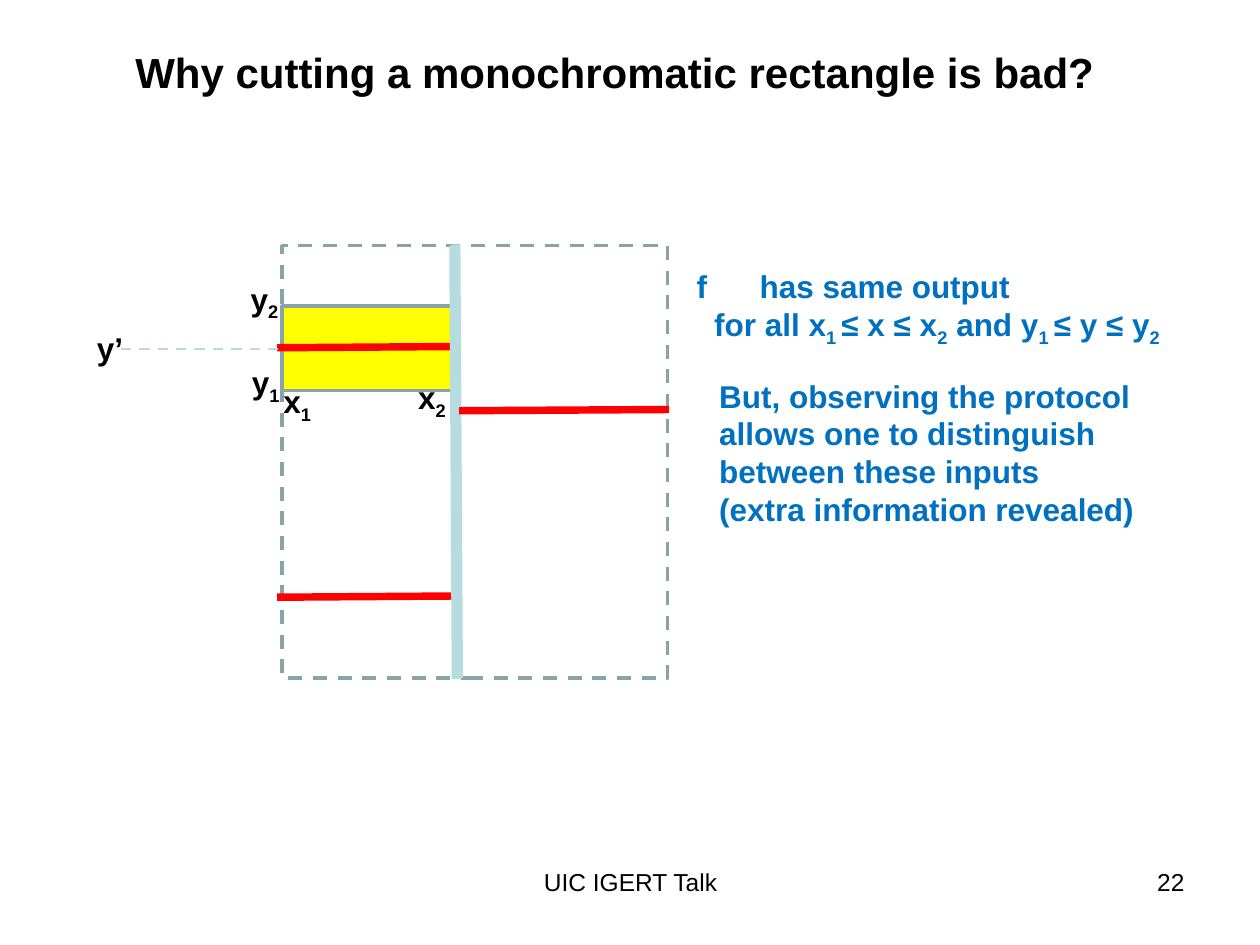
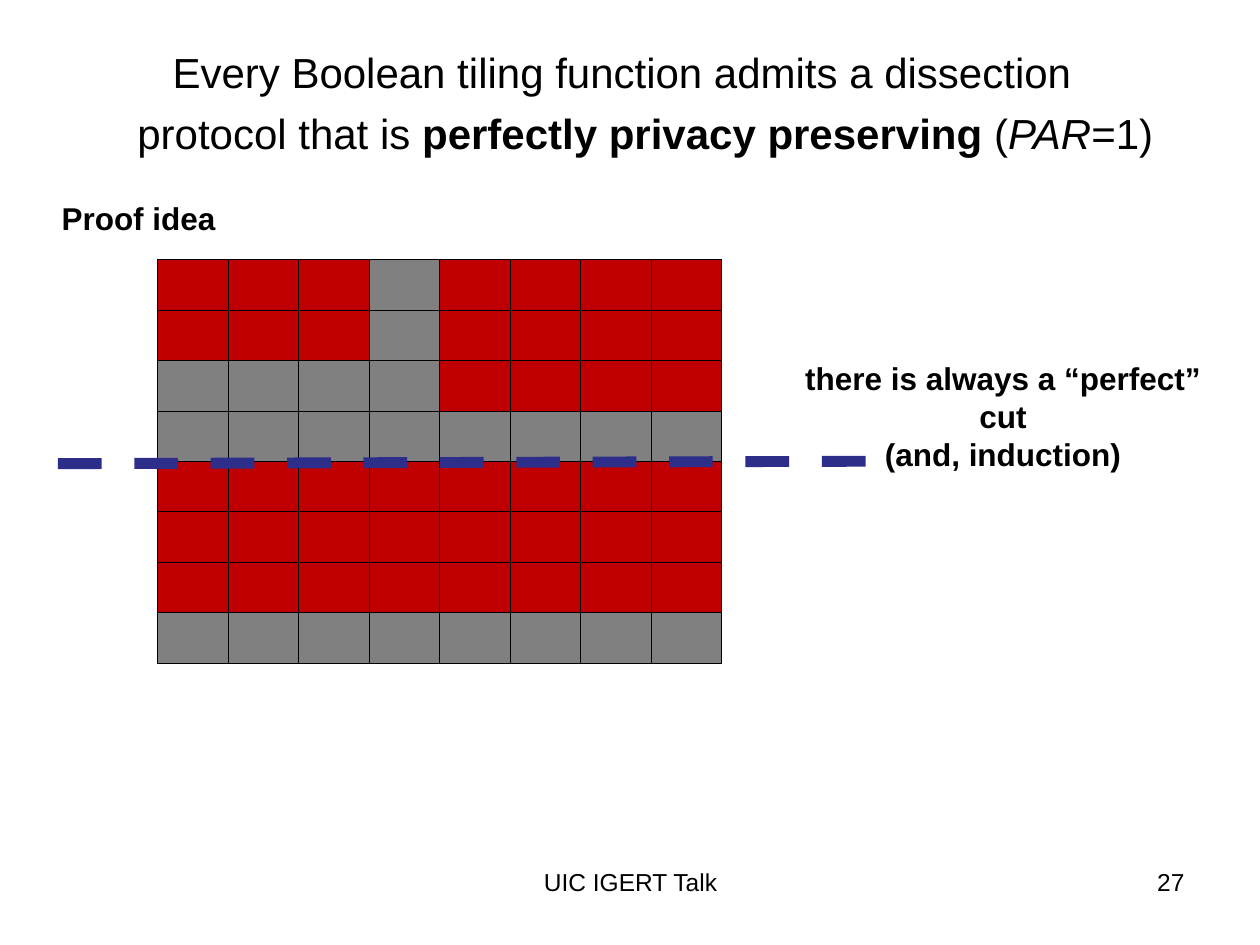
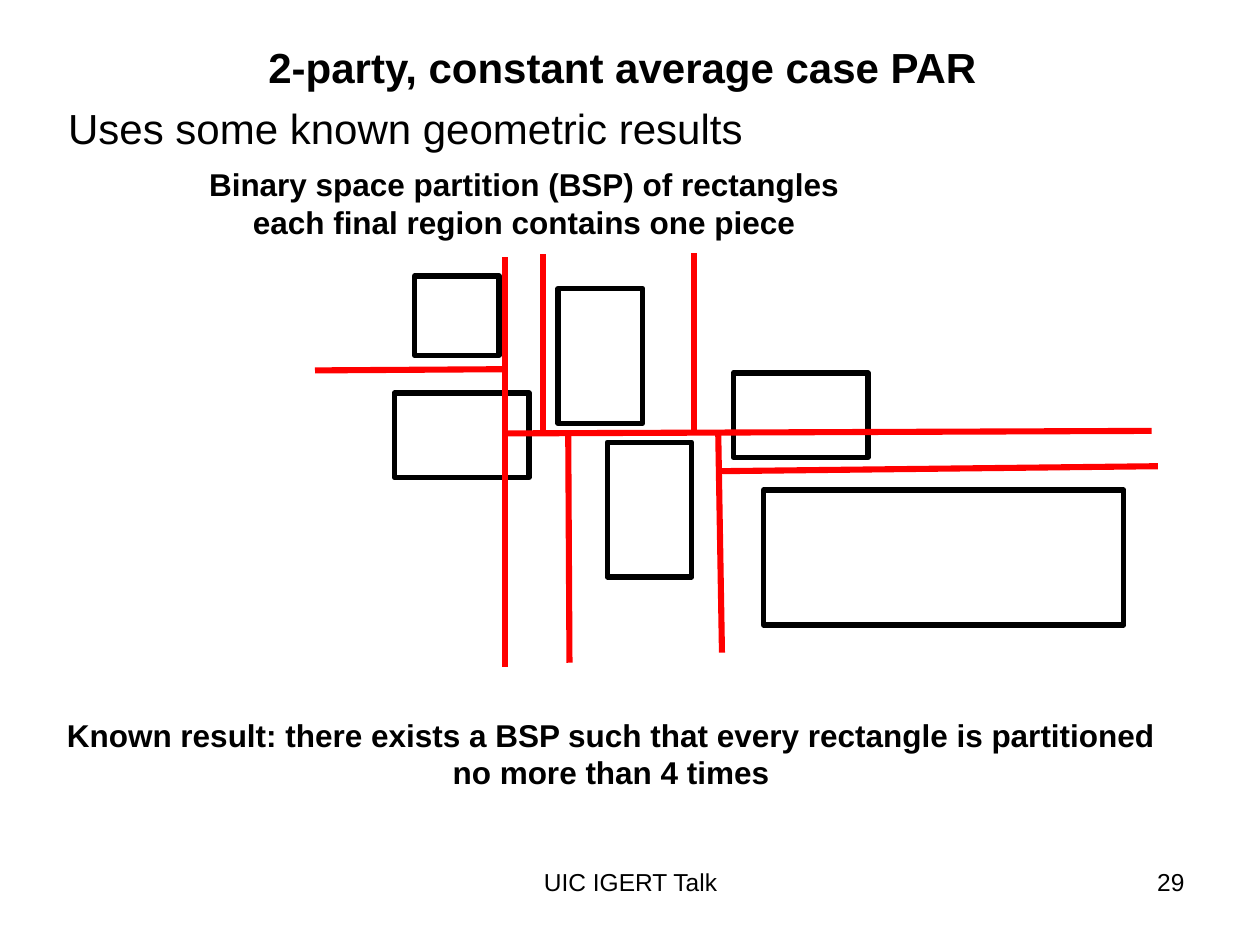
from pptx import Presentation
from pptx.dml.color import RGBColor
from pptx.enum.dml import MSO_LINE
from pptx.enum.shapes import MSO_CONNECTOR, MSO_SHAPE
from pptx.enum.text import MSO_ANCHOR, MSO_AUTO_SIZE, PP_ALIGN
from pptx.oxml.ns import qn
from pptx.util import Inches, Pt
from lxml.etree import SubElement

# Shared look
FONT = "Arial"
BLACK = RGBColor(0, 0, 0)
BLUE = RGBColor(0x00, 0x70, 0xC0)
NAVY = RGBColor(0x2D, 0x2D, 0x8A)
RED = RGBColor(0xFF, 0, 0)
YELLOW = RGBColor(0xFF, 0xFF, 0)
SLATE = RGBColor(0x89, 0xA4, 0xA7)
PALE_TEAL = RGBColor(0xB6, 0xDC, 0xDF)
TILE_COLOURS = {"R": RGBColor(0xC0, 0, 0), "G": RGBColor(0x80, 0x80, 0x80)}
TITLE_SIZE, TEXT_SIZE, FOOTER_SIZE = 24, 18, 14
LEFT, CENTER, RIGHT = PP_ALIGN.LEFT, PP_ALIGN.CENTER, PP_ALIGN.RIGHT
TITLE_ONLY, TITLE_AND_BODY = 5, 1
FOOTER = "UIC IGERT Talk"

# Slide 1: a paragraph is a string or a list of (text, style) spans
CUT_TITLE = ["Why cutting a monochromatic rectangle is bad?"]
SAME_OUTPUT = [
    "f\thas same output",
    [("for all x", ""), ("1 ", "sub"), ("≤ x ≤ x", ""), ("2", "sub"),
     (" and y", ""), ("1 ", "sub"), ("≤ y ≤ y", ""), ("2", "sub")],
]
REVEALED = ["But, observing the protocol", "allows one to distinguish",
            "between these inputs", "(extra information revealed)"]
AXIS_LABELS = [("y", "1", 1.9, 2.83), ("y", "2", 1.89, 2.17),
               ("x", "2", 3.22, 2.95), ("x", "1", 2.15, 2.98)]
FRAME = (2.24, 1.95, 3.06, 3.43)
MONOCHROMATIC = (2.24, 2.43, 1.36, 0.67)
VERTICAL_CUTS = [(3.62, 1.94, 3.64, 5.38), (3.6, 1.95, 3.62, 5.39)]
HORIZONTAL_CUTS = [(2.2, 2.76, 3.63, 2.75), (3.63, 3.26, 5.31, 3.25),
                   (2.2, 4.74, 3.64, 4.73)]

# Slide 2
TILING_TITLE = [
    "Every Boolean tiling function admits a dissection",
    [("protocol that is ", ""), ("perfectly privacy preserving ", "bold"),
     ("(", ""), ("PAR", "italic"), ("=1)", "")],
]
TILING = ["RRRGRRRR", "RRRGRRRR", "GGGGRRRR", "GGGGGGGG",
          "RRRRRRRR", "RRRRRRRR", "RRRRRRRR", "GGGGGGGG"]
TILE_WIDTH, TILE_HEIGHT = 0.56, 0.4
TILING_LEFT, TILING_TOP = 1.25, 2.06
ROWS_ABOVE_CUT = 4
PERFECT_CUT = ["there is always a “perfect” cut", "(and, induction)"]

# Slide 3
PARTITION_TITLE = ["2-party, constant average case PAR"]
PARTITION_LEAD = ["Uses some known geometric results"]
PARTITION_NOTE = ["Binary space partition (BSP) of rectangles",
                  "each final region contains one piece"]
KNOWN_RESULT = [
    "Known result: there exists a BSP such that every rectangle is partitioned",
    "no more than 4 times"]
PIECES = [(3.29, 2.19, 0.67, 0.63), (6.06, 3.89, 2.86, 1.07),
          (3.13, 3.12, 1.07, 0.67), (4.43, 2.29, 0.67, 1.07),
          (5.82, 2.96, 1.07, 0.67), (4.82, 3.51, 0.67, 1.07)]
PARTITION_CUTS = [
    (4.01, 2.04, 4.01, 5.29), (2.5, 2.94, 4.02, 2.93),
    (4.01, 3.44, 9.14, 3.42), (5.51, 2.01, 5.51, 3.43),
    (5.69, 3.74, 9.19, 3.7), (5.7, 3.42, 5.73, 5.18),
    (4.31, 2.02, 4.31, 3.44), (4.51, 3.46, 4.52, 5.26)]


def write(frame, paragraphs, size, color=BLACK, bold=True, align=LEFT, gap=0):
    """Fill a text frame with plain or mixed paragraphs."""
    for index, content in enumerate(paragraphs):
        para = frame.add_paragraph() if index else frame.paragraphs[0]
        para.alignment = align
        para.space_before = Pt(gap if index else 0)
        spans = [(content, "")] if isinstance(content, str) else content
        for text, style in spans:
            span = para.add_run()
            span.text = text
            font = span.font
            font.name, font.size = FONT, Pt(size)
            font.color.rgb = color
            font.bold = bold or style == "bold"
            font.italic = style == "italic"
            if style == "sub":
                span._r.get_or_add_rPr().set("baseline", "-25000")


def set_indent(para, left):
    properties = para._p.get_or_add_pPr()
    properties.set("marL", str(Inches(left)))
    properties.set("indent", "0")
    return properties


def fill_placeholder(holder, paragraphs, at, **style):
    """Move a title or body placeholder and write unbulleted text in it."""
    holder.left, holder.top, holder.width, holder.height = map(Inches, at)
    frame = holder.text_frame
    frame.margin_left = frame.margin_right = 0
    frame.margin_top = frame.margin_bottom = 0
    frame.vertical_anchor = MSO_ANCHOR.TOP
    frame.auto_size = MSO_AUTO_SIZE.NONE
    write(frame, paragraphs, TITLE_SIZE, gap=6, **style)
    for para in frame.paragraphs:
        SubElement(set_indent(para, 0), qn("a:buNone"))


def add_text(page, paragraphs, at, size=TEXT_SIZE, fit=True, **style):
    box = page.shapes.add_textbox(*map(Inches, at))
    frame = box.text_frame
    frame.word_wrap = not fit
    frame.auto_size = MSO_AUTO_SIZE.SHAPE_TO_FIT_TEXT if fit else MSO_AUTO_SIZE.NONE
    write(frame, paragraphs, size, **style)
    return frame


def draw_line(page, ends, color, width, dashed=False):
    connector = page.shapes.add_connector(
        MSO_CONNECTOR.STRAIGHT, *map(Inches, ends))
    connector.line.color.rgb = color
    connector.line.width = Pt(width)
    if dashed:
        connector.line.dash_style = MSO_LINE.DASH
    SubElement(connector._element.spPr, qn("a:effectLst"))


def draw_rectangle(page, at, color, width, fill=None, dashed=False):
    shape = page.shapes.add_shape(MSO_SHAPE.RECTANGLE, *map(Inches, at))
    shape.shadow.inherit = False
    if fill is None:
        shape.fill.background()
    else:
        shape.fill.solid()
        shape.fill.fore_color.rgb = fill
    shape.line.color.rgb = color
    shape.line.width = Pt(width)
    if dashed:
        shape.line.dash_style = MSO_LINE.DASH


def paint_cell(cell, color):
    """Thin black borders on all sides, then the fill."""
    properties = cell._tc.get_or_add_tcPr()
    for side in ("lnL", "lnR", "lnT", "lnB"):
        border = SubElement(properties, qn(f"a:{side}"), w=str(Pt(0.45)))
        solid = SubElement(border, qn("a:solidFill"))
        SubElement(solid, qn("a:srgbClr"), val=str(BLACK))
    cell.fill.solid()
    cell.fill.fore_color.rgb = color


def new_page(deck, layout, number, title, title_at, **style):
    page = deck.slides.add_slide(deck.slide_layouts[layout])
    fill_placeholder(page.shapes.title, title, title_at, **style)
    for text, at, align in [(FOOTER, (3.42, 6.83, 3.17, 0.52), CENTER),
                            (str(number), (7.17, 6.83, 2.33, 0.52), RIGHT)]:
        add_text(page, [text], at, FOOTER_SIZE, fit=False, bold=False, align=align)
    return page


def build_rectangle_page(deck):
    page = new_page(deck, TITLE_ONLY, 22, CUT_TITLE, (0.38, 0.37, 9, 0.5),
                    align=CENTER)
    # Function matrix and its cuts
    draw_rectangle(page, MONOCHROMATIC, SLATE, 2, fill=YELLOW)
    draw_rectangle(page, FRAME, SLATE, 2, dashed=True)
    draw_line(page, VERTICAL_CUTS[0], PALE_TEAL, 5)
    for cut in HORIZONTAL_CUTS:
        draw_line(page, cut, RED, 4.25)
    draw_line(page, VERTICAL_CUTS[1], PALE_TEAL, 5)
    # Axis labels
    for letter, index, left, top in AXIS_LABELS:
        add_text(page, [[(letter, ""), (index, "sub")]], (left, top, 0.42, 0.44))
    draw_line(page, (2.21, 2.77, 0.96, 2.77), PALE_TEAL, 1.5, dashed=True)
    add_text(page, ["y’"], (0.67, 2.56, 0.41, 0.4))
    # Explanation
    claim = add_text(page, SAME_OUTPUT, (5.43, 2.07, 4.15, 0.74), color=BLUE)
    first, second = claim.paragraphs
    tabs = SubElement(set_indent(first, 0), qn("a:tabLst"))
    SubElement(tabs, qn("a:tab"), pos=str(Inches(0.22)), algn="l")
    set_indent(second, 0.14)
    add_text(page, REVEALED, (5.61, 2.94, 3.53, 1.3), color=BLUE)


def build_tiling_page(deck):
    page = new_page(deck, TITLE_ONLY, 27, TILING_TITLE, (0.35, 0.37, 9, 0.98),
                    bold=False)
    for para, left in zip(page.shapes.title.text_frame.paragraphs, (1.02, 0.74)):
        set_indent(para, left)
    add_text(page, ["Proof idea"], (0.39, 1.53, 1.42, 0.4))
    # Tiling
    rows, columns = len(TILING), len(TILING[0])
    table = page.shapes.add_table(
        rows, columns, Inches(TILING_LEFT), Inches(TILING_TOP),
        Inches(columns * TILE_WIDTH), Inches(rows * TILE_HEIGHT)).table
    table.first_row = table.horz_banding = False
    for row, tiles in enumerate(TILING):
        for column, tile in enumerate(tiles):
            paint_cell(table.cell(row, column), TILE_COLOURS[tile])
    # Perfect cut
    cut_top = TILING_TOP + ROWS_ABOVE_CUT * TILE_HEIGHT
    draw_line(page, (0.46, cut_top + 0.02, 7.12, cut_top), NAVY, 6.25, dashed=True)
    add_text(page, PERFECT_CUT, (6.07, 2.8, 3.78, 0.7), align=CENTER)


def build_partition_page(deck):
    page = new_page(deck, TITLE_AND_BODY, 29, PARTITION_TITLE,
                    (0.44, 0.33, 9, 0.46), align=CENTER)
    fill_placeholder(page.placeholders[1], PARTITION_LEAD,
                     (0.54, 0.81, 8.9, 0.46), bold=False)
    for piece in PIECES:
        draw_rectangle(page, piece, BLACK, 3)
    add_text(page, PARTITION_NOTE, (1.56, 1.26, 5.2, 0.7), align=CENTER)
    for cut in PARTITION_CUTS:
        draw_line(page, cut, RED, 3.5)
    add_text(page, KNOWN_RESULT, (0.43, 5.63, 8.84, 0.7), align=CENTER)


def main():
    deck = Presentation()
    deck.slide_width, deck.slide_height = Inches(10), Inches(7.5)
    build_rectangle_page(deck)
    build_tiling_page(deck)
    build_partition_page(deck)
    deck.save("out.pptx")


if __name__ == "__main__":
    main()
